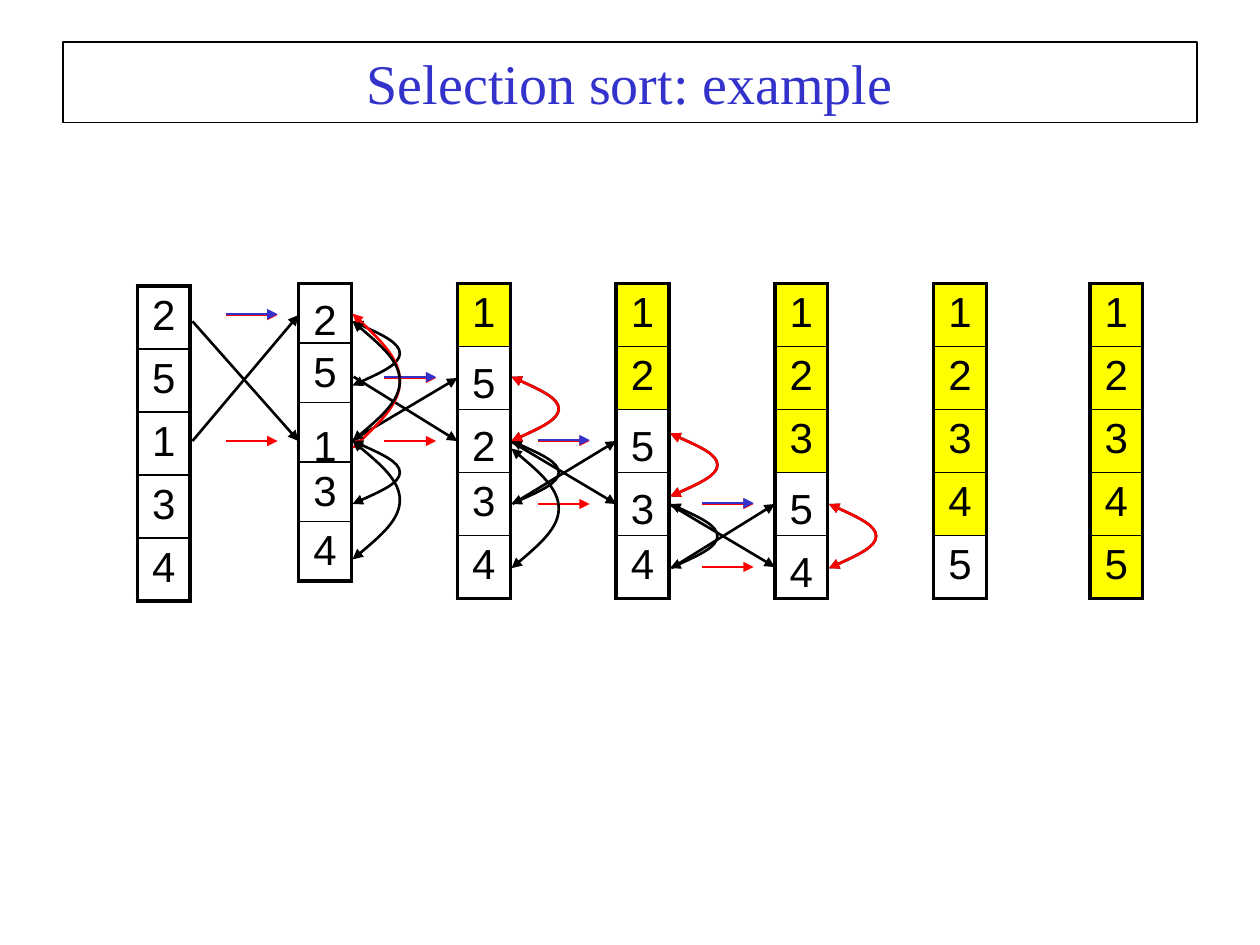
from dataclasses import dataclass

from lxml.etree import SubElement
from pptx import Presentation
from pptx.dml.color import RGBColor
from pptx.enum.shapes import MSO_CONNECTOR, MSO_SHAPE
from pptx.enum.text import MSO_ANCHOR, PP_ALIGN
from pptx.oxml import parse_xml
from pptx.oxml.ns import nsdecls, qn
from pptx.shapes.autoshape import Shape
from pptx.shapes.connector import Connector
from pptx.slide import Slide
from pptx.table import _Cell
from pptx.text.text import TextFrame
from pptx.util import Pt

COLORS = {"black": "000000", "red": "FF0000", "blue": "3333CC", "sorted": "FFFF00"}
COLUMN_WIDTH = 30.2
ROW_HEIGHT = 36
TOP = 162
GAP = 1.3  # between a column and the arrows beside it
ARROW_LENGTH = 29.7
ARC_WIDTH = 27
TOP_SITE, LEFT_SITE, BOTTOM_SITE, RIGHT_SITE = range(4)


@dataclass(frozen=True)
class Column:
    left: float
    digits: str
    sorted_count: int = 0
    swapped_rows: tuple[int, ...] = ()  # digits set in text boxes over the table
    top: float = TOP
    row_height: float = ROW_HEIGHT


@dataclass(frozen=True)
class Swap:
    arrow_left: float
    start_heights: tuple[float, float]


@dataclass(frozen=True)
class Arc:
    column: int
    top: float
    bottom: float
    color: str = "black"


COLUMNS = [
    Column(78.5, "25134", top=163.5),
    Column(170.6, "25134", 0, (0, 2), row_height=34),
    Column(261.4, "15234", 1, (1, 2)),
    Column(352.1, "12534", 2, (2, 3)),
    Column(442.8, "12354", 3, (3, 4)),
    Column(533.5, "12345", 4),
    Column(622.8, "12345", 5),
]
# Each swap leads from one column to the next
SWAPS = [
    Swap(128.9, (183.6, 252)),
    Swap(219.6, (215.3, 252)),
    Swap(307.3, (252, 288)),
    Swap(401, (288, 324.7)),
]
ARCS = [
    Arc(1, 183.6, 220.3),
    Arc(1, 179.3, 256.3, "red"),
    Arc(1, 183.6, 252),
    Arc(1, 252, 288),
    Arc(1, 252, 319.7),
    Arc(2, 215.3, 252),
    Arc(2, 252, 288),
    Arc(2, 256.3, 324.7),
    Arc(2, 215.3, 252, "red"),
    Arc(3, 247.7, 283.7),
    Arc(3, 288, 324.7),
    Arc(3, 247.7, 283.7, "red"),
    Arc(4, 288, 324.7),
    Arc(4, 288, 324.7, "red"),
]


def rgb(name: str) -> RGBColor:
    return RGBColor.from_string(COLORS[name])


def set_text(text_frame: TextFrame, text: str, size: float, font: str, color: str) -> None:
    text_frame.text = text
    paragraph = text_frame.paragraphs[0]
    paragraph.alignment = PP_ALIGN.CENTER
    for run in paragraph.runs:
        run.font.size = Pt(size)
        run.font.name = font
        run.font.color.rgb = rgb(color)


def set_borders(cell: _Cell, widths: dict[str, float]) -> None:
    properties = cell._tc.get_or_add_tcPr()
    for index, (side, width) in enumerate(widths.items()):
        properties.insert(index, parse_xml(
            f'<a:ln{side} {nsdecls("a")} w="{Pt(width)}"><a:solidFill>'
            f'<a:srgbClr val="{COLORS["black"]}"/></a:solidFill></a:ln{side}>'
        ))


def style_line(shape: Shape | Connector, color: str, heads: tuple[str, ...]) -> None:
    """Colour the line and put triangles at the named ends."""
    shape.line.color.rgb = rgb(color)
    shape.line.width = Pt(1.5)
    line = shape.line._get_or_add_ln()
    for head in heads:
        SubElement(line, qn(f"a:{head}"), type="triangle")


def draw_title(slide: Slide) -> None:
    title = slide.shapes.add_shape(MSO_SHAPE.RECTANGLE, Pt(36), Pt(24), Pt(648), Pt(46))
    title.shadow.inherit = False
    title.fill.background()
    title.line.color.rgb = rgb("black")
    title.line.width = Pt(1)
    title.text_frame.vertical_anchor = MSO_ANCHOR.MIDDLE
    set_text(title.text_frame, "Selection sort: example", 32, "Times New Roman", "blue")


def draw_column(slide: Slide, column: Column) -> dict[int, Shape]:
    """Draw one state of the array and return its text boxes by row."""
    count = len(column.digits)
    table = slide.shapes.add_table(
        count, 1, Pt(column.left), Pt(column.top), Pt(COLUMN_WIDTH), Pt(count * column.row_height)
    ).table
    table.first_row = table.horz_banding = False
    boxes = {}
    for row, digit in enumerate(column.digits):
        table.rows[row].height = Pt(column.row_height)
        cell = table.cell(row, 0)
        cell.margin_left = cell.margin_right = Pt(0)
        cell.margin_top, cell.margin_bottom = Pt(3.6), Pt(2.4)
        if row < column.sorted_count:
            cell.fill.solid()
            cell.fill.fore_color.rgb = rgb("sorted")
        else:
            cell.fill.background()
        set_borders(cell, {
            "L": 2.25,
            "R": 2.25,
            "T": 2.25 if row == 0 else 1,
            "B": 2.25 if row == count - 1 else 1,
        })
        text_frame = cell.text_frame
        if row in column.swapped_rows:
            boxes[row] = slide.shapes.add_textbox(
                Pt(column.left), Pt(TOP + row * ROW_HEIGHT), Pt(COLUMN_WIDTH), Pt(ROW_HEIGHT)
            )
            text_frame = boxes[row].text_frame
            text_frame.word_wrap = True
            text_frame.margin_left = text_frame.margin_right = Pt(0)
            text_frame.margin_top, text_frame.margin_bottom = Pt(6), Pt(2.4)
        set_text(text_frame, digit, 24, "Arial", "black")
    return boxes


def draw_arrow(slide: Slide, start: tuple[float, float], end: tuple[float, float], color: str) -> Connector:
    points = [Pt(value) for value in (*start, *end)]
    arrow = slide.shapes.add_connector(MSO_CONNECTOR.STRAIGHT, *points)
    style_line(arrow, color, ("tailEnd",))
    SubElement(arrow._element.spPr, qn("a:effectLst"))
    return arrow


def draw_swap(slide: Slide, swap: Swap, source: Column, target: Column,
              source_boxes: dict[int, Shape], target_boxes: dict[int, Shape]) -> None:
    """Mark the two swapped rows and cross their digits over to the next column."""
    rows = target.swapped_rows
    marks = [(rows[0], "red", 0), (rows[1], "red", 0), (rows[0], "blue", 0.5)]
    for row, color, lift in marks:
        height = TOP + (row + 0.5) * ROW_HEIGHT - lift
        draw_arrow(slide, (swap.arrow_left, height), (swap.arrow_left + ARROW_LENGTH, height), color)
    start_left = source.left + COLUMN_WIDTH + GAP
    for start_row, end_row, height in zip(rows, reversed(rows), swap.start_heights):
        end_height = TOP + (end_row + 0.5) * ROW_HEIGHT
        arrow = draw_arrow(slide, (start_left, height), (target.left, end_height), "black")
        if start_row in source_boxes and source.swapped_rows[-1] == start_row:
            arrow.begin_connect(source_boxes[start_row], RIGHT_SITE)
        arrow.end_connect(target_boxes[end_row], LEFT_SITE)


def draw_arc(slide: Slide, arc: Arc) -> None:
    """Draw a double-headed curve that bulges to the right of its column."""
    left = COLUMNS[arc.column].left + COLUMN_WIDTH + GAP / 2
    width, height = Pt(ARC_WIDTH), Pt(arc.bottom - arc.top)
    builder = slide.shapes.build_freeform(Pt(left), Pt(arc.top))
    builder.add_line_segments(
        [(Pt(left) + width, Pt(arc.top) + height // 2), (Pt(left), Pt(arc.top) + height)], close=False
    )
    shape = builder.convert_to_shape()
    shape.shadow.inherit = False
    shape.fill.background()
    style_line(shape, arc.color, ("headEnd", "tailEnd"))
    halves = [[(0.5, 1 / 6), (1, 1 / 3), (1, 0.5)], [(1, 2 / 3), (0.5, 5 / 6), (0, 1)]]
    for segment, points in zip(list(shape._element.iter(qn("a:lnTo"))), halves):
        curve = parse_xml(f'<a:cubicBezTo {nsdecls("a")}/>')
        for x, y in points:
            SubElement(curve, qn("a:pt"), x=str(round(x * width)), y=str(round(y * height)))
        segment.getparent().replace(segment, curve)


def main() -> None:
    presentation = Presentation()
    presentation.slide_width, presentation.slide_height = Pt(720), Pt(540)
    slide = presentation.slides.add_slide(presentation.slide_layouts[6])
    draw_title(slide)
    boxes = [draw_column(slide, column) for column in COLUMNS]
    for index, swap in enumerate(SWAPS):
        draw_swap(slide, swap, *COLUMNS[index:index + 2], *boxes[index:index + 2])
    for arc in ARCS:
        draw_arc(slide, arc)
    presentation.save("out.pptx")


if __name__ == "__main__":
    main()
